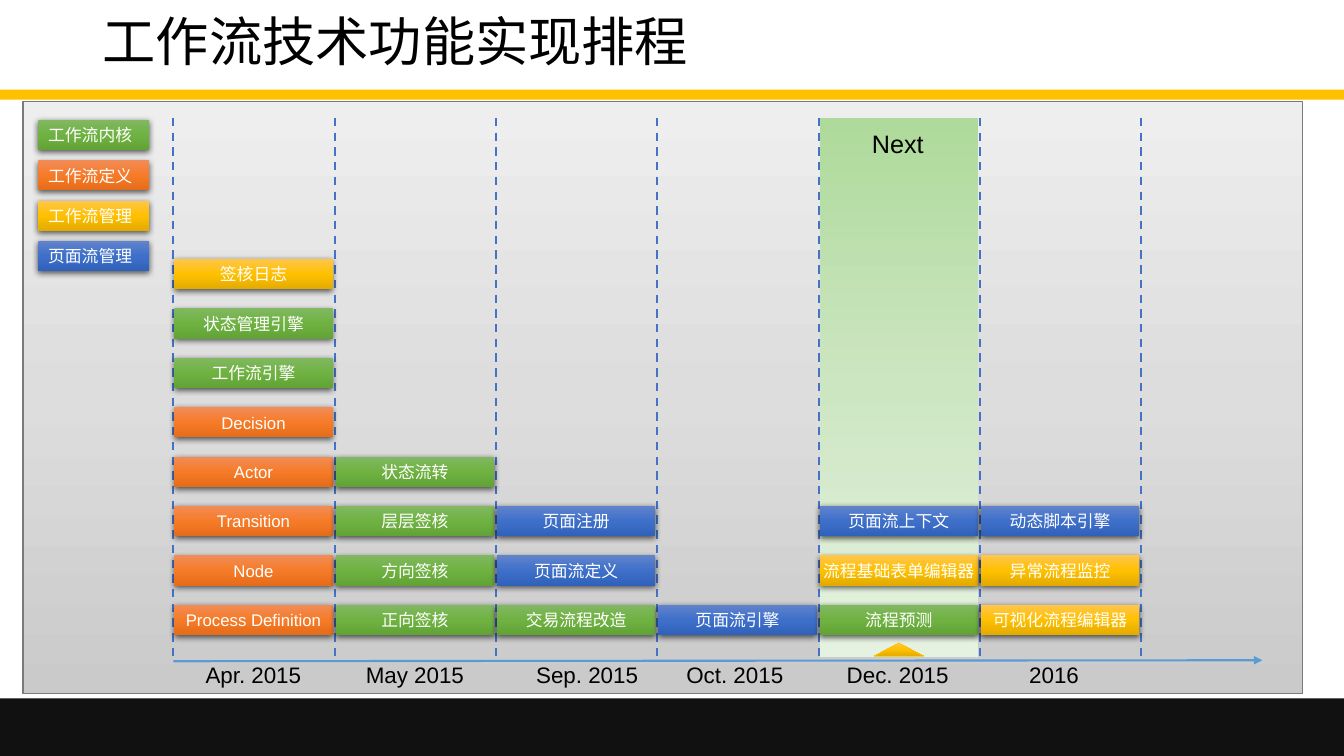
from lxml import etree
from pptx import Presentation
from pptx import util as u
from pptx.dml import color
from pptx.enum import dml, shapes, text
from pptx.oxml import ns

WIDE, HIGH = 13.33, 7.5
LEFT, STEP = 1.72, 1.6      # first month line, month width
BASE, RISE = 6.0, 0.49      # lowest task row, row height
TOP, AXIS = 1.17, 6.56      # ends of the month lines
BAR_W, BAR_H = 1.57, 0.3

# Gradients, from top to bottom
GREEN = ("81B861", "6FB242", "62A336")
ORANGE = ("F18C57", "F67B28", "E56C19")
GOLD = ("FFC64B", "FFC000", "E3AB00")
BLUE = ("6183CB", "3E70CA", "3062BB")
GREY = ("EEEEEE", "DDDDDD", "CACACA")
PALE = ("AEDA9B", "CDE6C2", "E6F2E1")

LEGEND = [("工作流内核", GREEN), ("工作流定义", ORANGE),
          ("工作流管理", GOLD), ("页面流管理", BLUE)]

# Month label, its left edge, and its tasks from the bottom row up
MONTHS = [
    ("Apr. 2015", 1.94, [
        ("Process Definition", ORANGE), ("Node", ORANGE),
        ("Transition", ORANGE), ("Actor", ORANGE), ("Decision", ORANGE),
        ("工作流引擎", GREEN), ("状态管理引擎", GREEN), ("签核日志", GOLD)]),
    ("May 2015", 3.53, [
        ("正向签核", GREEN), ("方向签核", GREEN),
        ("层层签核", GREEN), ("状态流转", GREEN)]),
    ("Sep. 2015", 5.22, [
        ("交易流程改造", GREEN), ("页面流定义", BLUE), ("页面注册", BLUE)]),
    ("Oct. 2015", 6.71, [("页面流引擎", BLUE)]),
    ("Dec. 2015", 8.3, [
        ("流程预测", GREEN), ("流程基础表单编辑器", GOLD),
        ("页面流上下文", BLUE)]),
    ("2016", 10.11, [
        ("可视化流程编辑器", GOLD), ("异常流程监控", GOLD),
        ("动态脚本引擎", BLUE)]),
]
NEXT = 4                    # column of the coming month


def rgb(code):
    return color.RGBColor.from_string(code)


def col(i):
    return LEFT + i * STEP


def row(i):
    return BASE - i * RISE


def child(node, tag, **attrs):
    return etree.SubElement(node, ns.qn(tag), **attrs)


def paint(shape, fill):
    """Fill with one colour, or with a gradient running downwards."""
    if isinstance(fill, str):
        shape.fill.solid()
        shape.fill.fore_color.rgb = rgb(fill)
        return
    shape.fill.gradient()
    shape.fill.gradient_angle = 270
    stops = shape._element.spPr.find(".//" + ns.qn("a:gsLst"))
    for old in list(stops):
        stops.remove(old)
    for i, code in enumerate(fill):
        stop = child(stops, "a:gs", pos=str(i * 50000))
        child(stop, "a:srgbClr", val=code)


def block(slide, x, y, w, h, fill, edge=None, width=1,
          kind=shapes.MSO_SHAPE.RECTANGLE):
    shape = slide.shapes.add_shape(
        kind, u.Inches(x), u.Inches(y), u.Inches(w), u.Inches(h))
    shape.shadow.inherit = False
    paint(shape, fill)
    if edge:
        shape.line.color.rgb = rgb(edge)
        shape.line.width = u.Pt(width)
    else:
        shape.line.fill.background()
    return shape


def write(frame, words, size, ink, align=text.PP_ALIGN.LEFT):
    frame.text = words
    para = frame.paragraphs[0]
    para.alignment = align
    font = para.runs[0].font
    font.name, font.size = "Arial", u.Pt(size)
    font.color.rgb = rgb(ink)
    return para


def bar(slide, x, y, w, words, fill, align, inset=0.1):
    shape = block(slide, x, y, w, BAR_H, fill)
    effects = shape._element.spPr.find(ns.qn("a:effectLst"))
    shade = child(effects, "a:outerShdw", blurRad="57150", dist="19050",
                  dir="5400000", algn="ctr", rotWithShape="0")
    tint = child(shade, "a:srgbClr", val="000000")
    child(tint, "a:alpha", val="63000")
    frame = shape.text_frame
    frame.word_wrap = True
    frame.vertical_anchor = text.MSO_ANCHOR.MIDDLE
    frame.margin_left = frame.margin_right = u.Inches(inset)
    write(frame, words, 12, "FFFFFF", align)


def label(slide, x, y, w, h, words, size):
    box = slide.shapes.add_textbox(
        u.Inches(x), u.Inches(y), u.Inches(w), u.Inches(h))
    box.text_frame.word_wrap = True
    return box.text_frame, write(box.text_frame, words, size, "000000")


def rule(slide, x1, y1, x2, y2, ink):
    line = slide.shapes.add_connector(
        shapes.MSO_CONNECTOR.STRAIGHT,
        u.Inches(x1), u.Inches(y1), u.Inches(x2), u.Inches(y2))
    line.line.color.rgb = rgb(ink)
    line.line.width = u.Pt(1.5)
    child(line._element.spPr, "a:effectLst")
    return line


def main():
    deck = Presentation()
    deck.slide_width, deck.slide_height = u.Inches(WIDE), u.Inches(HIGH)
    slide = deck.slides.add_slide(deck.slide_layouts[6])

    # Bands and title
    block(slide, 0, 0.89, WIDE, 0.1, "FFC000")
    block(slide, 0, 6.93, WIDE, HIGH - 6.93, "111111")
    frame, para = label(slide, 0.92, 0.01, 11.5, 0.85,
                        "工作流技术功能实现排程", 38)
    frame.vertical_anchor = text.MSO_ANCHOR.MIDDLE
    para.line_spacing = 0.9

    # Panel and the coming month
    block(slide, 0.23, 1.01, 12.69, 5.87, GREY, "7A7A7A")
    block(slide, col(NEXT) + 0.01, TOP, BAR_W, 5.35, PALE)
    block(slide, 8.67, 6.38, 0.49, 0.13, GOLD, "FFC000", 0.5,
          shapes.MSO_SHAPE.ISOSCELES_TRIANGLE)
    label(slide, 8.55, 1.22, 0.9, 0.4, "Next", 18)

    # Month lines and time axis
    for i in range(len(MONTHS) + 1):
        line = rule(slide, col(i), TOP, col(i), AXIS, "4472C4")
        line.line.dash_style = dml.MSO_LINE.DASH
    axis = rule(slide, LEFT, AXIS, 12.52, AXIS - 0.01, "5B9BD5")
    child(axis._element.spPr.find(ns.qn("a:ln")), "a:tailEnd",
          type="triangle")

    # Legend
    for i, (words, fill) in enumerate(LEGEND):
        bar(slide, 0.38, 1.19 + 0.4 * i, 1.1, words, fill,
            text.PP_ALIGN.LEFT)

    # Months and their tasks
    for i, (month, x, tasks) in enumerate(MONTHS):
        label(slide, x, 6.51, 1.4, 0.37, month, 16)
        for j, (words, fill) in enumerate(tasks):
            bar(slide, col(i) + 0.01, row(j), BAR_W, words, fill,
                text.PP_ALIGN.CENTER, 0 if i > 2 else 0.1)

    deck.save("out.pptx")


if __name__ == "__main__":
    main()
